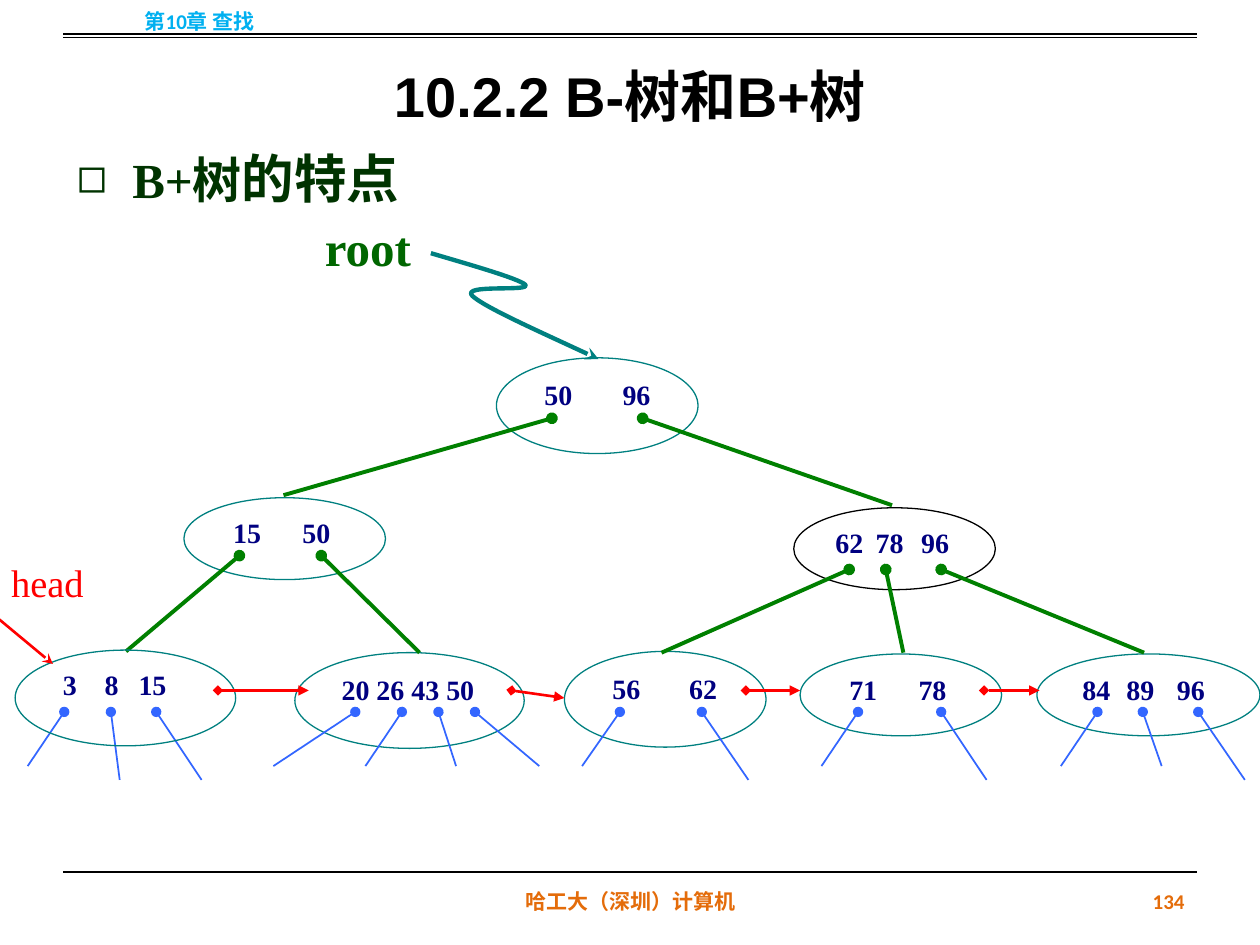
from dataclasses import dataclass

from lxml.etree import SubElement
from pptx import Presentation
from pptx.dml.color import RGBColor
from pptx.enum.shapes import MSO_CONNECTOR, MSO_SHAPE
from pptx.enum.text import MSO_ANCHOR, MSO_AUTO_SIZE, PP_ALIGN
from pptx.oxml.ns import qn
from pptx.util import Pt

SCALE = 9144  # EMU per px, at 100 px to the inch
ELLIPSE_INSET = 0.146  # share of the width left of an ellipse's text area


@dataclass(frozen=True)
class Theme:
    title_font: str = "Arial"
    frame_font: str = "Calibri"
    tree_font: str = "Times New Roman"
    black: str = "000000"
    white: str = "FFFFFF"
    chapter: str = "00B0F0"
    footer: str = "E46C0A"
    heading: str = "003300"
    root: str = "006600"
    outline: str = "008080"
    key: str = "000080"
    branch: str = "008000"
    pointer: str = "3366FF"
    chain: str = "FF0000"
    title_size: int = 32
    heading_size: int = 28
    heading_large: int = 30
    head_size: int = 22
    key_size: int = 16
    frame_size: int = 12


THEME = Theme()

# left, top, width, height, outline, keys with the x where each one starts
NODES = [
    (394, 284, 160, 76, THEME.outline, [("50", 432), ("96", 494)]),
    (146, 395, 160, 65, THEME.outline, [("15", 185), ("50", 240)]),
    (630, 403, 160, 65, THEME.black, [("62", 663), ("78", 695), ("96", 731)]),
    (635, 519, 160, 65, THEME.outline, [("71", 674), ("78", 729)]),
    (823, 519, 177, 65, THEME.outline, [("84", 859), ("89", 894), ("96", 934)]),
    (448, 517, 160, 76, THEME.outline, [("56", 486), ("62", 547)]),
    (234, 518, 182, 76, THEME.outline, [("20 26 43 50", 271)]),
]
FIRST_LEAF = (12, 516, 175, 76)
FIRST_LEAF_KEYS = [("3", 50), ("8", 83), ("15", 110)]

BRANCHES = [
    (438, 332, 225, 393), (510, 332, 708, 401),
    (190, 441, 100, 517), (255, 441, 333, 518),
    (674, 452, 525, 518), (703, 452, 717, 518), (747, 452, 908, 518),
]
POINTER_TOP, SHORT_END, LONG_END = 565, 608, 619
# start x, end x, end y
POINTERS = [
    (51, 22, SHORT_END), (88, 95, LONG_END), (124, 160, LONG_END),
    (282, 217, SHORT_END), (319, 290, SHORT_END),
    (348, 362, SHORT_END), (377, 428, SHORT_END),
    (492, 462, SHORT_END), (557, 594, LONG_END),
    (681, 652, SHORT_END), (747, 783, LONG_END),
    (871, 842, SHORT_END), (907, 922, SHORT_END), (951, 988, LONG_END),
]
CHAIN = [
    (173, 548, 245, 548), (406, 548, 448, 554),
    (592, 548, 635, 548), (781, 548, 825, 548),
]
ROOT_CURVE = [
    (342, 201), (376, 211), (411, 221), (417, 226), (422, 232),
    (365, 225), (375, 235), (385, 244), (430, 264), (475, 285),
]


def px(*lengths):
    return [round(length * SCALE) for length in lengths]


def set_font(font, name, size, color, bold=True):
    font.name = name
    font.size = Pt(size)
    font.bold = bold
    font.color.rgb = RGBColor.from_string(color)


def set_line(line, color, width, head=None, tail=None):
    line.color.rgb = RGBColor.from_string(color)
    line.width = Pt(width)
    for tag, kind in (("a:headEnd", head), ("a:tailEnd", tail)):
        if kind:
            SubElement(line._get_or_add_ln(), qn(tag), type=kind)


def place(shape, left, top, width, height):
    shape.left, shape.top, shape.width, shape.height = px(left, top, width, height)


def add_line(page, ends, color, width, head=None, tail=None):
    connector = page.shapes.add_connector(MSO_CONNECTOR.STRAIGHT, *px(*ends))
    set_line(connector.line, color, width, head, tail)
    SubElement(connector._element.spPr, qn("a:effectLst"))


def add_label(page, area, text, name, size, color, align=PP_ALIGN.LEFT,
              anchor=MSO_ANCHOR.TOP, bold=True, wrap=True):
    box = page.shapes.add_textbox(*px(*area))
    frame = box.text_frame
    frame.word_wrap = wrap
    frame.vertical_anchor = anchor
    para = frame.paragraphs[0]
    para.text = text
    para.alignment = align
    set_font(para.font, name, size, color, bold)


def write_keys(frame, text_left, keys):
    """Start each key at its own x: the first by the margin, the rest by tabs."""
    first_x = keys[0][1]
    frame.word_wrap = True
    frame.vertical_anchor = MSO_ANCHOR.TOP
    frame.margin_left, frame.margin_right = px(first_x - text_left, 0)
    para = frame.paragraphs[0]
    para.text = "\t".join(key for key, _ in keys)
    para.alignment = PP_ALIGN.JUSTIFY
    if len(keys) > 1:
        tabs = SubElement(para._p.get_or_add_pPr(), qn("a:tabLst"))
        for _, x in keys[1:]:
            SubElement(tabs, qn("a:tab"), pos=str(px(x - first_x)[0]), algn="l")
    set_font(para.font, THEME.tree_font, THEME.key_size, THEME.key)


def add_ellipse(page, area, outline):
    ellipse = page.shapes.add_shape(MSO_SHAPE.OVAL, *px(*area))
    ellipse.shadow.inherit = False
    set_line(ellipse.line, outline, 0.75)
    return ellipse


def add_node(page, left, top, width, height, outline, keys):
    ellipse = add_ellipse(page, (left, top, width, height), outline)
    ellipse.fill.solid()
    ellipse.fill.fore_color.rgb = RGBColor.from_string(THEME.white)
    write_keys(ellipse.text_frame, left + ELLIPSE_INSET * width, keys)


def add_first_leaf(page):
    add_ellipse(page, FIRST_LEAF, THEME.outline).fill.background()
    left = 34
    box = page.shapes.add_textbox(*px(left, 525, 124, 100))
    write_keys(box.text_frame, left, FIRST_LEAF_KEYS)


def add_curve(page, points, color, width, tail):
    """Draw cubic curves through a start point and triples of control points."""
    builder = page.shapes.build_freeform(*points[0], scale=SCALE)
    builder.add_line_segments(points[1:], close=False)
    shape = builder.convert_to_shape()
    outline = next(shape._element.iter(qn("a:path")))
    segments = outline.findall(qn("a:lnTo"))
    for start in range(0, len(segments), 3):
        curve = SubElement(outline, qn("a:cubicBezTo"))
        for segment in segments[start:start + 3]:
            curve.append(segment[0])
            outline.remove(segment)
    shape.shadow.inherit = False
    shape.fill.background()
    set_line(shape.line, color, width, tail=tail)


def fill_title(title):
    place(title, 50, 0, 900, 125)
    title.text_frame.auto_size = MSO_AUTO_SIZE.NONE
    title.text_frame.vertical_anchor = MSO_ANCHOR.MIDDLE
    para = title.text_frame.paragraphs[0]
    para.text = "10.2.2 B-树和B+树"
    para.alignment = PP_ALIGN.CENTER
    para.line_spacing = 1.5
    set_font(para.font, THEME.title_font, THEME.title_size, THEME.black)


def fill_heading(body):
    place(body, 51, 111, 504, 60)
    body.text_frame.auto_size = MSO_AUTO_SIZE.NONE
    para = body.text_frame.paragraphs[0]
    para.space_before = Pt(0)
    properties = para._p.get_or_add_pPr()
    indent = px(44)[0]
    properties.set("marL", str(indent))
    properties.set("indent", str(-indent))
    SubElement(properties, qn("a:buFont"), typeface=THEME.title_font)
    SubElement(properties, qn("a:buChar"), char="◻")
    set_font(para.font, THEME.tree_font, THEME.heading_size, THEME.heading)
    for text, size in (("B+树", THEME.heading_size), ("的特点", THEME.heading_large)):
        span = para.add_run()
        span.text = text
        span.font.size = Pt(size)


def add_page_frame(page):
    for y in (27, 30, 692):
        add_line(page, (50, y, 950, y), THEME.black, 0.75)
    for area, text, color, align in (
        ((0, -3, 317, 40), "第10章 查找", THEME.chapter, PP_ALIGN.CENTER),
        ((342, 695, 317, 40), "哈工大（深圳）计算机", THEME.footer, PP_ALIGN.CENTER),
        ((717, 695, 233, 40), "134", THEME.footer, PP_ALIGN.RIGHT),
    ):
        add_label(page, area, text, THEME.frame_font, THEME.frame_size, color,
                  align, MSO_ANCHOR.MIDDLE)


def add_tree(page):
    for node in NODES:
        add_node(page, *node)
    for ends in BRANCHES:
        add_line(page, ends, THEME.branch, 2.25, head="oval")
    for start_x, end_x, end_y in POINTERS:
        add_line(page, (start_x, POINTER_TOP, end_x, end_y), THEME.pointer, 1, head="oval")
    add_first_leaf(page)
    for ends in CHAIN:
        add_line(page, ends, THEME.chain, 1.5, head="diamond", tail="triangle")


def main():
    deck = Presentation()
    deck.slide_width, deck.slide_height = px(1000, 750)
    page = deck.slides.add_slide(deck.slide_layouts[1])
    fill_title(page.shapes.title)
    fill_heading(page.placeholders[1])
    add_page_frame(page)
    add_tree(page)
    add_label(page, (248, 168, 89, 57), "root", THEME.tree_font,
              THEME.heading_size, THEME.root, wrap=False)
    add_curve(page, ROOT_CURVE, THEME.outline, 2.5, tail="stealth")
    add_label(page, (-1, 439, 79, 54), "head", THEME.tree_font, THEME.head_size,
              THEME.chain, PP_ALIGN.JUSTIFY, bold=False)
    add_line(page, (-17, 478, 42, 527), THEME.chain, 1.5, tail="stealth")
    deck.save("out.pptx")


if __name__ == "__main__":
    main()
